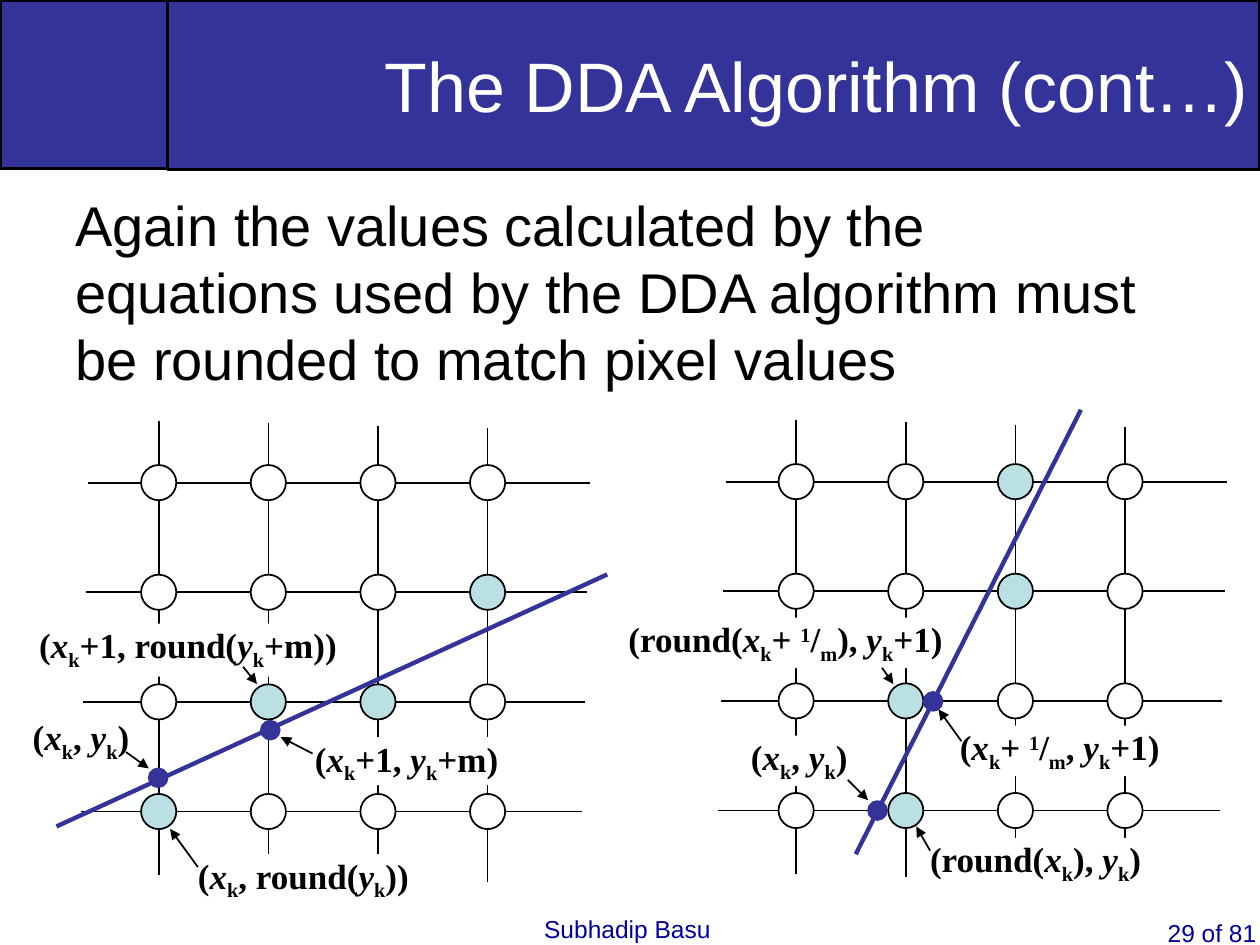
import itertools
from dataclasses import dataclass

import lxml.etree
import pptx
import pptx.dml.color
import pptx.enum.shapes
import pptx.enum.text
import pptx.oxml.ns
import pptx.util

Cm = pptx.util.Cm
Pt = pptx.util.Pt
Shape = pptx.enum.shapes.MSO_SHAPE
Align = pptx.enum.text.PP_ALIGN


@dataclass(frozen=True)
class Theme:
    blue: str = "333399"
    navy: str = "000099"
    teal: str = "BBE0E3"
    black: str = "000000"
    white: str = "FFFFFF"
    sans: str = "Arial"
    serif: str = "Times New Roman"
    title: float = 40
    body: float = 32
    label: float = 20
    foot: float = 14


@dataclass(frozen=True)
class Box:
    left: float
    top: float
    width: float
    height: float

    def cms(self) -> tuple:
        return Cm(self.left), Cm(self.top), Cm(self.width), Cm(self.height)


@dataclass(frozen=True)
class Line:
    x1: float
    y1: float
    x2: float
    y2: float


@dataclass(frozen=True)
class Label:
    """Maths text: _ lowers and ^ raises the next letter."""
    text: str
    box: Box


@dataclass(frozen=True)
class Panel:
    x: float  # centre of the top left pixel
    y: float
    lit: set  # (column, row) of the chosen pixels
    ray: Line
    dots: list
    labels: list
    arrows: list


THEME = Theme()
COUNT = 4
PITCH = 2.21
PIXEL = 0.71
DOT = 0.38

SHALLOW = Panel(
    3.2, 9.73, {(3, 1), (1, 2), (2, 2), (0, 3)},
    Line(1.14, 16.66, 12.24, 11.58),
    [(3.19, 15.68), (5.45, 14.72)],
    [Label("(x_k, y_k)", Box(0.66, 14.43, 2.1, 0.97)),
     Label("(x_k+1, y_k+m)", Box(6.35, 14.86, 3.71, 0.97)),
     Label("(x_k, round(y_k))", Box(3.99, 17.22, 4.27, 1.27)),
     Label("(x_k+1, round(y_k+m))", Box(0.79, 12.57, 6.02, 1.07))],
    [Line(2.54, 15.16, 3, 15.49), Line(6.3, 15.19, 5.66, 14.86),
     Line(3.99, 17.48, 3.43, 16.71), Line(4.9, 13.44, 5.18, 13.79)])

STEEP = Panel(
    16.05, 9.71, {(2, 0), (2, 1), (1, 2), (1, 3)},
    Line(21.79, 8.26, 17.25, 17.22),
    [(17.69, 16.34), (18.81, 14.14)],
    [Label("(x_k, y_k)", Box(15.14, 14.83, 1.96, 1.02)),
     Label("(x_k+ ^1/_m, y_k+1)", Box(19.35, 14.63, 4.04, 1.02)),
     Label("(round(x_k), y_k)", Box(18.75, 16.89, 4.27, 1.07)),
     Label("(round(x_k+ ^1/_m), y_k+1)", Box(12.67, 12.45, 6.35, 1.02))],
    [Line(19.38, 14.94, 18.92, 14.3), Line(18.75, 17.15, 18.47, 16.66),
     Line(17.09, 15.72, 17.5, 16.13), Line(17.78, 13.46, 18.01, 13.79)])


def rgb(code: str):
    return pptx.dml.color.RGBColor.from_string(code)


def style(font, face: str, size: float, color: str):
    font.name, font.size = face, Pt(size)
    font.color.rgb = rgb(color)


def add_shape(slide, kind, box: Box, fill: str, edge: str, width: float):
    shape = slide.shapes.add_shape(kind, *box.cms())
    shape.shadow.inherit = False
    shape.fill.solid()
    shape.fill.fore_color.rgb = rgb(fill)
    shape.line.color.rgb = rgb(edge)
    shape.line.width = Pt(width)
    return shape


def add_disc(slide, x: float, y: float, size: float, fill: str, edge: str):
    box = Box(x - size / 2, y - size / 2, size, size)
    add_shape(slide, Shape.OVAL, box, fill, edge, 1)


def add_line(slide, line: Line, color=THEME.black, width=1.0, arrow=False):
    ends = [Cm(v) for v in (line.x1, line.y1, line.x2, line.y2)]
    link = slide.shapes.add_connector(
        pptx.enum.shapes.MSO_CONNECTOR.STRAIGHT, *ends)
    link.line.color.rgb = rgb(color)
    link.line.width = Pt(width)
    qn = pptx.oxml.ns.qn
    props = link._element.spPr
    if arrow:
        lxml.etree.SubElement(props.find(qn("a:ln")), qn("a:tailEnd"),
                              type="triangle")
    lxml.etree.SubElement(props, qn("a:effectLst"))


def set_text(shape, text: str, size: float, color: str, align=Align.LEFT):
    shape.text_frame.text = text
    para = shape.text_frame.paragraphs[0]
    para.alignment = align
    style(para.runs[0].font, THEME.sans, size, color)


def add_text(slide, text: str, box: Box, size: float, color: str, wrap: bool):
    shape = slide.shapes.add_textbox(*box.cms())
    shape.text_frame.word_wrap = wrap
    set_text(shape, text, size, color)
    return shape


def split(text: str) -> list:
    """Pair each letter with its (italic, baseline) look."""
    marks = {"_": -25000, "^": 30000}
    return [(char, (char in "xy", marks.get(prev, 0)))
            for prev, char in zip(" " + text, text) if char not in marks]


def add_label(slide, label: Label):
    shape = slide.shapes.add_textbox(*label.box.cms())
    shape.fill.solid()
    shape.fill.fore_color.rgb = rgb(THEME.white)
    frame = shape.text_frame
    frame.word_wrap = False
    frame.margin_left = frame.margin_right = 0
    frame.margin_top = frame.margin_bottom = 0
    for look, pairs in itertools.groupby(split(label.text), lambda p: p[1]):
        run = frame.paragraphs[0].add_run()
        run.text = "".join(char for char, _ in pairs)
        style(run.font, THEME.serif, THEME.label, THEME.black)
        run.font.bold, run.font.italic = True, look[0]
        if look[1]:
            run._r.get_or_add_rPr().set("baseline", str(look[1]))


def add_panel(slide, panel: Panel):
    for i in range(COUNT):
        x, y = panel.x + PITCH * i, panel.y + PITCH * i
        top, left = panel.y - 1.25 + 0.05 * i, panel.x - 1.42 - 0.05 * i
        add_line(slide, Line(x, top, x, top + 9.16))
        add_line(slide, Line(left, y, left + 10.11, y))
    for col, row in itertools.product(range(COUNT), repeat=2):
        fill = THEME.teal if (col, row) in panel.lit else THEME.white
        add_disc(slide, panel.x + PITCH * col, panel.y + PITCH * row,
                 PIXEL, fill, THEME.black)
    add_line(slide, panel.ray, THEME.blue, 2.5)
    for x, y in panel.dots:
        add_disc(slide, x, y, DOT, THEME.blue, THEME.blue)
    for label in panel.labels:
        add_label(slide, label)
    for arrow in panel.arrows:
        add_line(slide, arrow, arrow=True)


def main():
    deck = pptx.Presentation()
    deck.slide_width, deck.slide_height = Cm(25.4), Cm(19.05)
    slide = deck.slides.add_slide(deck.slide_layouts[6])

    add_shape(slide, Shape.RECTANGLE, Box(0, 0, 3.38, 3.4),
              THEME.blue, THEME.black, 2)
    banner = add_shape(slide, Shape.RECTANGLE, Box(3.38, 0, 22.02, 3.42),
                       THEME.blue, THEME.black, 2)
    set_text(banner, "The DDA Algorithm (cont…)", THEME.title, THEME.white,
             Align.RIGHT)

    body = add_text(
        slide, "Again the values calculated by the equations used by the DDA "
        "algorithm must be rounded to match pixel values",
        Box(1.27, 3.71, 22.86, 4.45), THEME.body, THEME.black, True)
    body.text_frame.margin_right = Cm(0.5)

    for panel in (SHALLOW, STEEP):
        add_panel(slide, panel)

    add_text(slide, "Subhadip Basu", Box(10.72, 18.31, 3.86, 0.86),
             THEME.foot, THEME.navy, False)
    add_text(slide, "29 of 81", Box(23.29, 18.39, 2.49, 1.45),
             THEME.foot, THEME.navy, True)
    deck.save("out.pptx")


if __name__ == "__main__":
    main()
